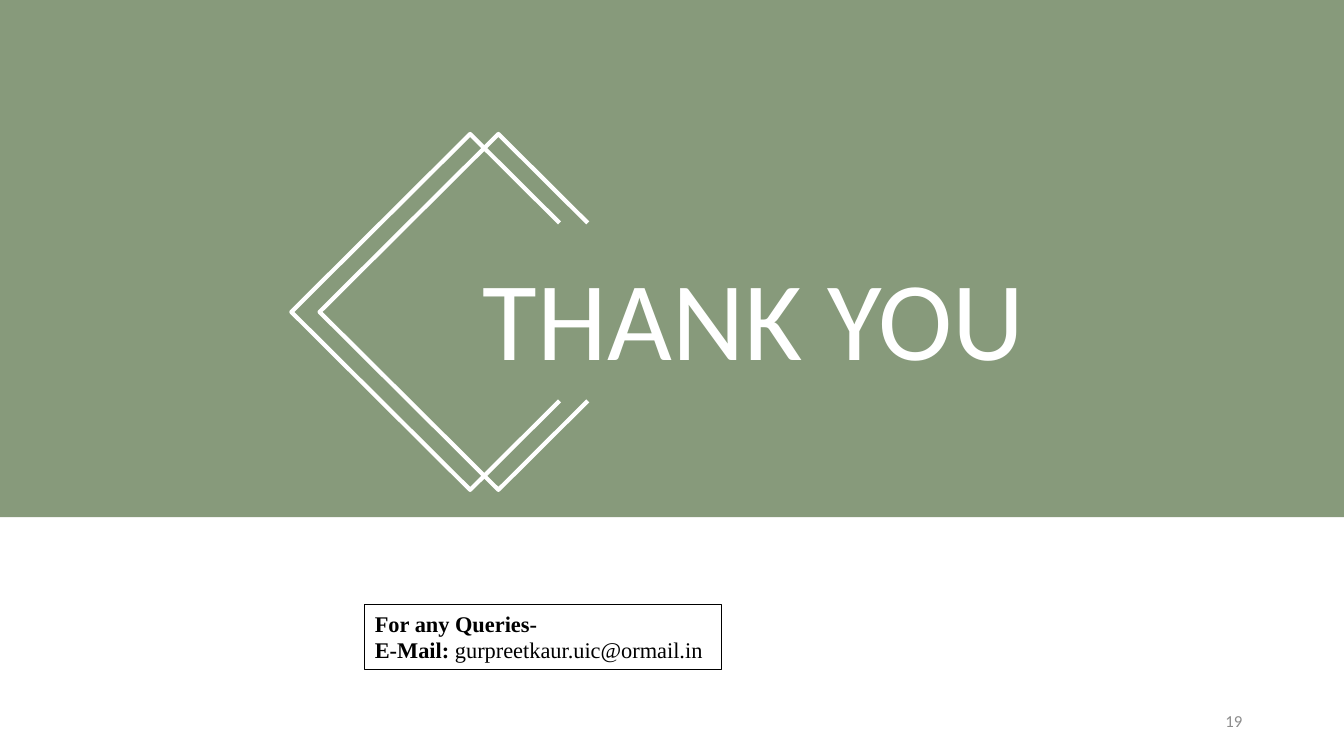
from dataclasses import dataclass

from lxml.etree import SubElement
from pptx import Presentation
from pptx.dml.color import RGBColor
from pptx.enum.shapes import MSO_SHAPE
from pptx.enum.text import MSO_ANCHOR, MSO_AUTO_SIZE, PP_ALIGN
from pptx.oxml.ns import qn
from pptx.util import Inches, Pt


@dataclass(frozen=True)
class Theme:
    green: RGBColor = RGBColor(0x38, 0x57, 0x23)
    white: RGBColor = RGBColor(0xFF, 0xFF, 0xFF)
    black: RGBColor = RGBColor(0, 0, 0)
    grey: RGBColor = RGBColor(0x8C, 0x8C, 0x8C)
    band_opacity: int = 60
    sans: str = "Calibri"
    serif: str = "Times New Roman"
    title_size: Pt = Pt(80)
    contact_size: Pt = Pt(16)
    number_size: Pt = Pt(12)


THEME = Theme()


def set_font(p, name, size, color):
    p.font.name, p.font.size = name, size
    p.font.color.rgb = color


def add_band(s, x, y, w, h):
    band = s.shapes.add_shape(MSO_SHAPE.RECTANGLE, Inches(x), Inches(y), Inches(w), Inches(h))
    band.shadow.inherit = False
    band.fill.solid()
    band.fill.fore_color.rgb = THEME.green
    band.line.fill.background()
    color = band.element.spPr.find(qn("a:solidFill"))[0]
    SubElement(color, qn("a:alpha"), val=str(THEME.band_opacity * 1000))
    # The band lies behind the title
    s.shapes.title.element.addprevious(band.element)


def add_title(s, x, y, w, h):
    title = s.shapes.title
    title.left, title.top, title.width, title.height = map(Inches, (x, y, w, h))
    tf = title.text_frame
    tf.margin_left = tf.margin_right = tf.margin_top = tf.margin_bottom = 0
    tf.auto_size = MSO_AUTO_SIZE.NONE
    tf.vertical_anchor = MSO_ANCHOR.MIDDLE
    p = tf.paragraphs[0]
    p.text = "THANK YOU"
    p.alignment = PP_ALIGN.CENTER
    set_font(p, THEME.sans, THEME.title_size, THEME.white)


def add_open_diamond(s, x, y, w, h):
    """Diamond outline whose right corner is left open."""
    tip_x = x + w * 2 / 3
    points = [(x + w, y + h * 3 / 4), (tip_x, y + h), (x, y + h / 2),
              (tip_x, y), (x + w, y + h / 4)]
    start, *rest = [(Inches(px), Inches(py)) for px, py in points]
    builder = s.shapes.build_freeform(*start)
    builder.add_line_segments(rest, close=False)
    sp = builder.convert_to_shape()
    sp.shadow.inherit = False
    sp.fill.background()
    sp.line.color.rgb = THEME.white
    sp.line.width = Pt(3)


def add_contact(s, x, y, w, h):
    box = s.shapes.add_textbox(Inches(x), Inches(y), Inches(w), Inches(h))
    box.line.color.rgb = THEME.black
    box.line.width = Pt(0.75)
    tf = box.text_frame
    tf.word_wrap = True
    lines = [[("For any Queries-", True)],
             [("E-Mail: ", True), ("gurpreetkaur.uic@ormail.in", False)]]
    for i, runs in enumerate(lines):
        p = tf.add_paragraph() if i else tf.paragraphs[0]
        set_font(p, THEME.serif, THEME.contact_size, THEME.black)
        for text, bold in runs:
            r = p.add_run()
            r.text = text
            r.font.name, r.font.size = THEME.serif, THEME.contact_size
            r.font.color.rgb = THEME.black
            r.font.bold = bold


def add_number(s, x, y, w, h):
    tf = s.shapes.add_textbox(Inches(x), Inches(y), Inches(w), Inches(h)).text_frame
    tf.word_wrap = True
    tf.vertical_anchor = MSO_ANCHOR.MIDDLE
    p = tf.paragraphs[0]
    p.text = "19"
    p.alignment = PP_ALIGN.RIGHT
    set_font(p, THEME.sans, THEME.number_size, THEME.grey)


def build_closing_slide(prs):
    s = prs.slides.add_slide(prs.slide_layouts[5])
    # Green band with the closing words
    add_band(s, 0, 0, 13.33, 5.13)
    add_title(s, 1.63, 2.46, 11.7, 1.35)
    # Two overlapping open diamonds
    for i in range(2):
        add_open_diamond(s, 2.89 + 0.28 * i, 1.33, 2.66, 3.53)
    # Footer area
    add_number(s, 9.42, 6.95, 3, 0.4)
    add_contact(s, 3.62, 6, 3.54, 0.64)


def main():
    prs = Presentation()
    prs.slide_width, prs.slide_height = Inches(13.33), Inches(7.5)
    build_closing_slide(prs)
    prs.save("out.pptx")


if __name__ == "__main__":
    main()
